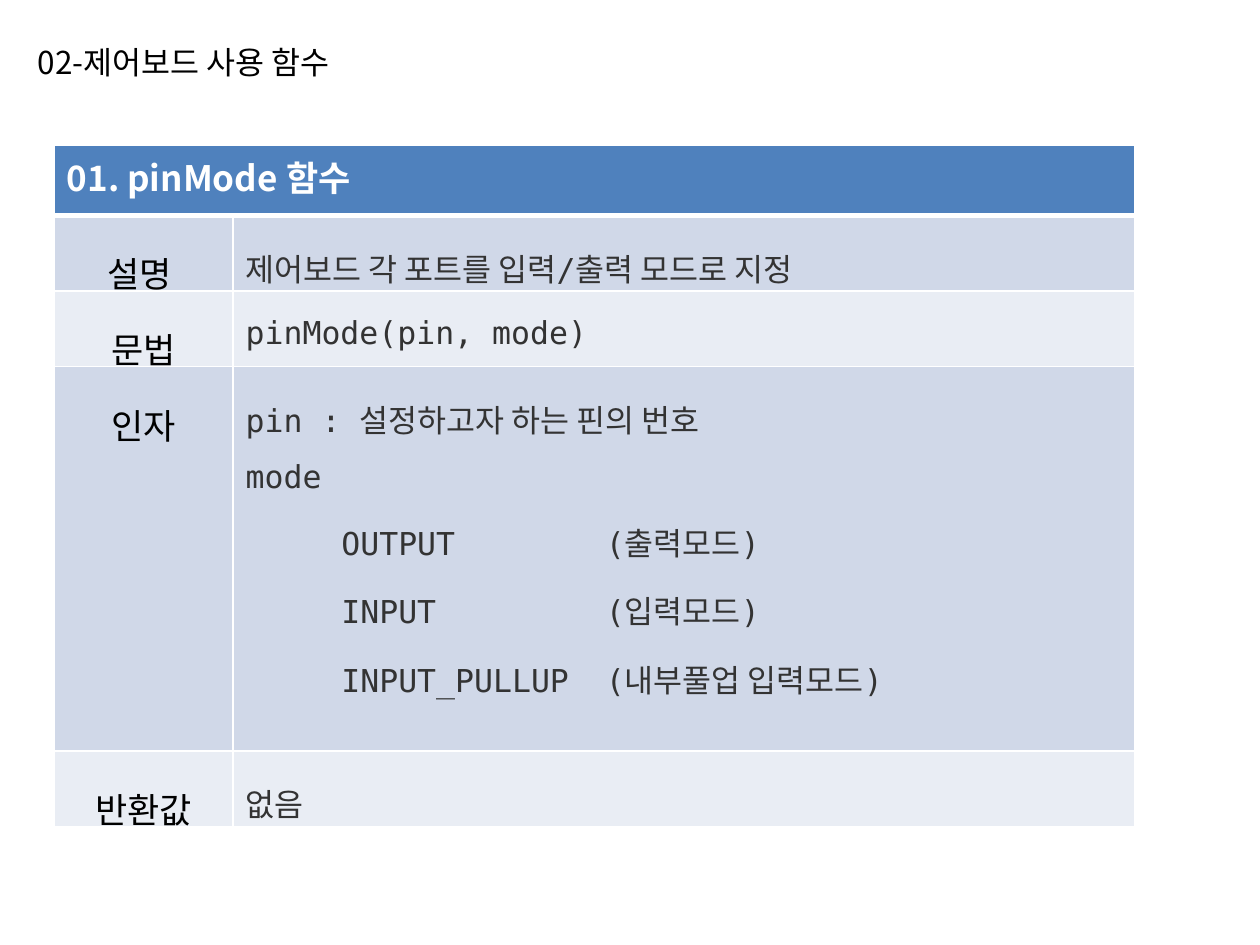
import dataclasses

import lxml.etree
import pptx
import pptx.dml.color
import pptx.enum.text
import pptx.oxml.ns
import pptx.util


@dataclasses.dataclass(frozen=True)
class Theme:
    """Colours, fonts and type sizes of the slide."""
    sans: str = "Noto Sans CJK KR"
    mono: str = "DejaVu Sans Mono"
    black: str = "000000"
    gray: str = "333333"
    white: str = "FFFFFF"
    head: str = "4F81BD"
    bands: tuple = ("D0D8E8", "E9EDF4")
    body: int = 18
    label: int = 20
    thin: int = 1
    thick: int = 3
    lead: float = 1.5


THEME = Theme()
WIDE, HIGH = 10, 7.5
TABS = (0.76, 2.86)
ROWS = (
    ("설명 ", ("제어보드 각 포트를 입력/출력 모드로 지정",), 0.56),
    ("문법", ("pinMode(pin, mode)",), 0.56),
    ("인자", (
        "pin : 설정하고자 하는 핀의 번호",
        "mode",
        "\tOUTPUT\t(출력모드)",
        "\tINPUT\t(입력모드)",
        "\tINPUT_PULLUP\t(내부풀업 입력모드)",
    ), 3.05),
    ("반환값", ("없음",), 0.56),
)


def add(parent, tag, **attrs):
    """Append a DrawingML element."""
    return lxml.etree.SubElement(parent, pptx.oxml.ns.qn(tag), **attrs)


def rgb(code):
    """Turn a hex code into a colour."""
    return pptx.dml.color.RGBColor.from_string(code)


def style(para, face, size, color, bold=False):
    """Set the font of a paragraph."""
    font = para.font
    font.name, font.size, font.bold = face, pptx.util.Pt(size), bold
    font.color.rgb = rgb(color)
    add(para._p.pPr.find(pptx.oxml.ns.qn("a:defRPr")), "a:ea", typeface=THEME.sans)


def tab(para):
    """Give a paragraph the tab stops of the mode list."""
    stops = add(para._p.get_or_add_pPr(), "a:tabLst")
    for pos in TABS:
        add(stops, "a:tab", pos=str(pptx.util.Inches(pos)), algn="l")


def paint(cell, color, top=THEME.thin, base=THEME.thin):
    """Border and fill a cell."""
    props = cell._tc.get_or_add_tcPr()
    for side, width in zip("LRTB", (THEME.thin, THEME.thin, top, base)):
        line = add(props, f"a:ln{side}", w=str(pptx.util.Pt(width)))
        add(add(line, "a:solidFill"), "a:srgbClr", val=THEME.white)
    cell.fill.solid()
    cell.fill.fore_color.rgb = rgb(color)


def write(cell, lines, face, size, color, align=None):
    """Write spaced lines into a cell."""
    frame = cell.text_frame
    for num, line in enumerate(lines):
        para = frame.add_paragraph() if num else frame.paragraphs[0]
        para.text = line
        para.alignment = align
        para.line_spacing = THEME.lead
        if "\t" in line:
            tab(para)
        style(para, face, size, color)


def title(slide, box):
    """Place the slide title in its box."""
    shape = slide.shapes.title
    shape.left, shape.top, shape.width, shape.height = map(pptx.util.Inches, box)
    frame = shape.text_frame
    frame.text = "02-제어보드 사용 함수"
    frame.word_wrap = False
    frame.auto_size = pptx.enum.text.MSO_AUTO_SIZE.SHAPE_TO_FIT_TEXT
    frame.vertical_anchor = pptx.enum.text.MSO_ANCHOR.TOP
    para = frame.paragraphs[0]
    para.alignment = pptx.enum.text.PP_ALIGN.LEFT
    style(para, THEME.sans, THEME.body, THEME.black)


def grid(slide, box):
    """Place the function table in its box."""
    frame = slide.shapes.add_table(len(ROWS) + 1, 2, *map(pptx.util.Inches, box))
    table = frame.table
    first = 1.42
    for col, width in zip(table.columns, (first, box[2] - first)):
        col.width = pptx.util.Inches(width)
    heights = (0.56, *(row[2] for row in ROWS))
    for row, height in zip(table.rows, heights):
        row.height = pptx.util.Inches(height)
    head = table.cell(0, 0)
    head.merge(table.cell(0, 1))
    for col in range(2):
        paint(table.cell(0, col), THEME.head, base=THEME.thick)
    head.text = "01. pinMode 함수"
    style(head.text_frame.paragraphs[0], THEME.sans, THEME.label, THEME.white, True)
    for num, (label, lines, _) in enumerate(ROWS):
        left, right = table.cell(num + 1, 0), table.cell(num + 1, 1)
        for cell in (left, right):
            paint(cell, THEME.bands[num % 2], THEME.thin if num else THEME.thick)
        write(left, (label,), THEME.sans, THEME.label, THEME.black,
              pptx.enum.text.PP_ALIGN.CENTER)
        write(right, lines, THEME.mono, THEME.body, THEME.gray)


def main():
    """Build and save the slide."""
    deck = pptx.Presentation()
    deck.slide_width, deck.slide_height = map(pptx.util.Inches, (WIDE, HIGH))
    slide = deck.slides.add_slide(deck.slide_layouts[5])
    title(slide, (0.2, 0.29, 2.78, 0.4))
    grid(slide, (0.43, 1.15, 8.58, 5.41))
    deck.save("out.pptx")


if __name__ == "__main__":
    main()
